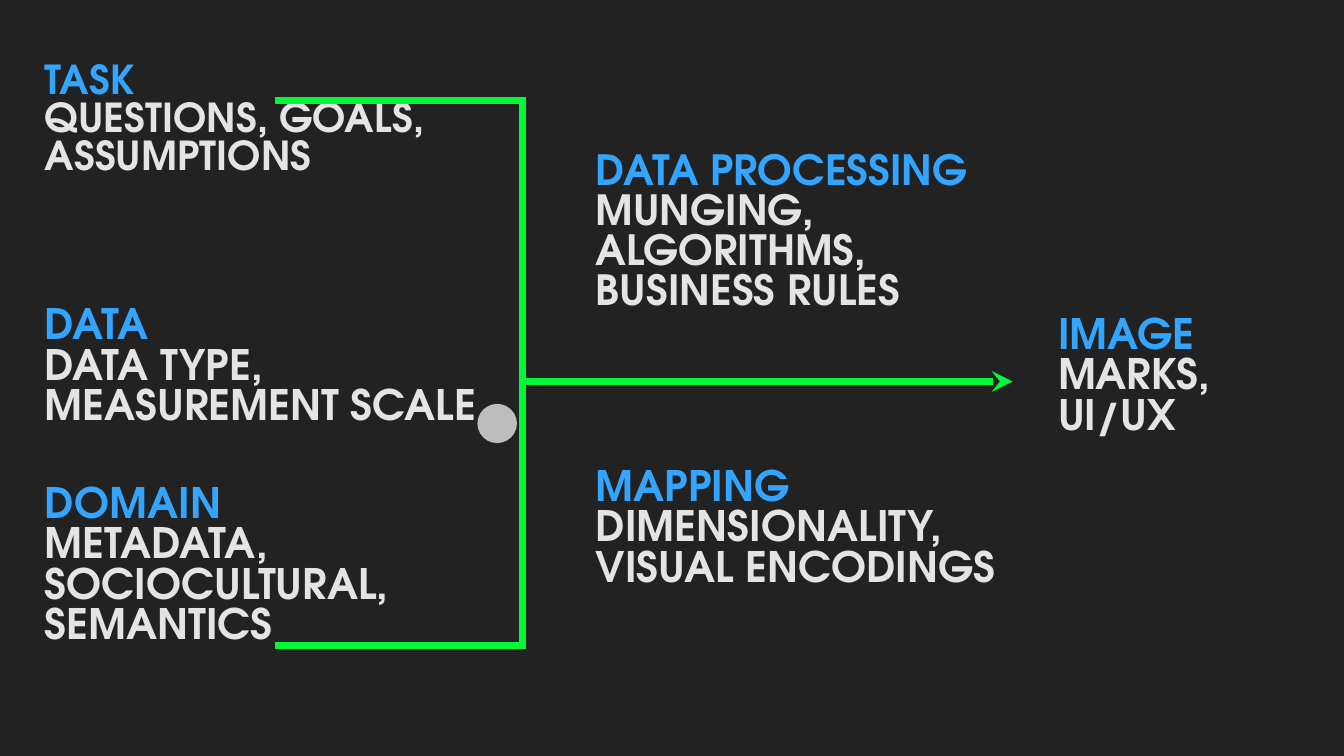
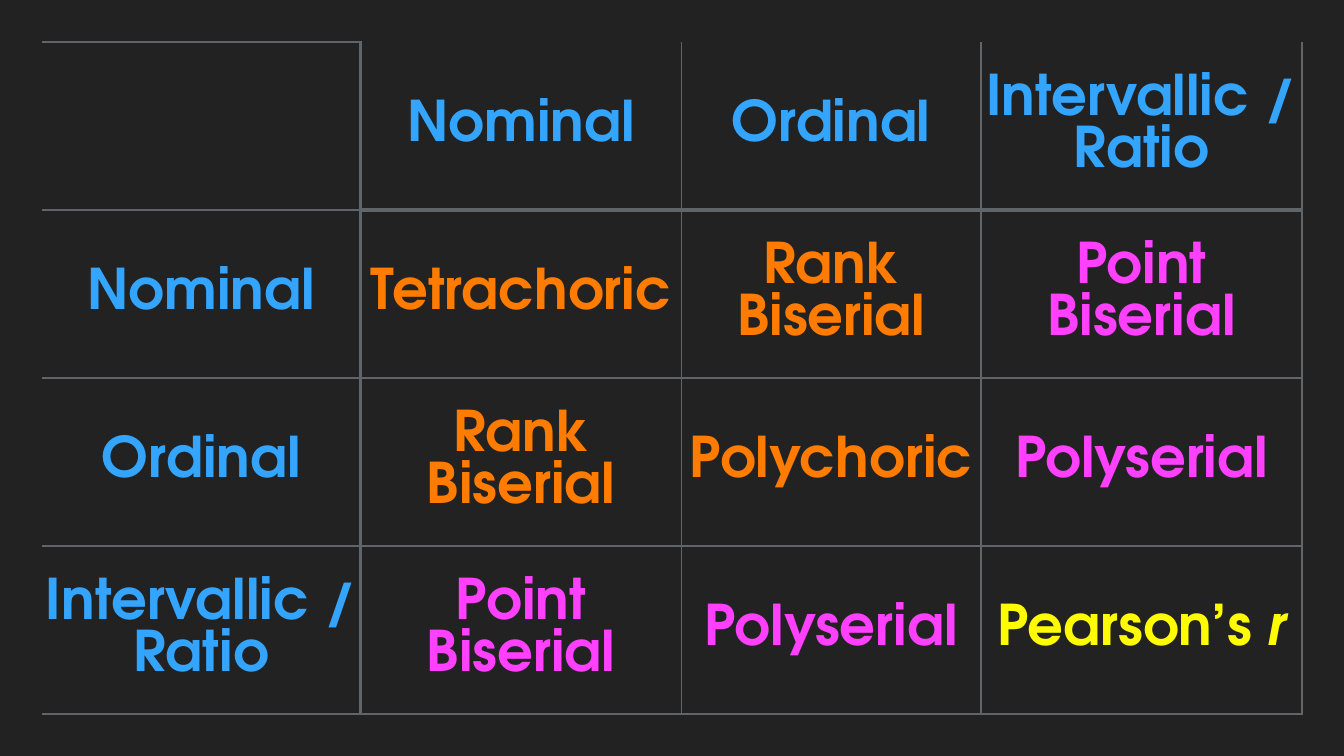
from lxml import etree
from pptx import Presentation
from pptx.dml.color import RGBColor
from pptx.enum.shapes import MSO_CONNECTOR, MSO_SHAPE
from pptx.enum.text import MSO_ANCHOR, MSO_AUTO_SIZE, PP_ALIGN
from pptx.oxml import parse_xml
from pptx.oxml.ns import nsdecls, qn
from pptx.util import Pt

STRAIGHT, OVAL = MSO_CONNECTOR.STRAIGHT, MSO_SHAPE.OVAL
TOP, MIDDLE = MSO_ANCHOR.TOP, MSO_ANCHOR.MIDDLE
LEFT, CENTER = PP_ALIGN.LEFT, PP_ALIGN.CENTER
NO_AUTOFIT = MSO_AUTO_SIZE.NONE

FONT = "TeX Gyre Adventor"
BACKGROUND, BLUE, LIGHT, GREEN = "222222", "34A5FF", "E4E4E4", "00F939"
ORANGE, PINK, YELLOW, GRID = "FF7C00", "FF40FF", "FFFB00", "5F6568"
INSET = Pt(4)


def paint(color_format, hex_color):
    color_format.rgb = RGBColor.from_string(hex_color)


def add_text(paragraph, text, size, color):
    run = paragraph.add_run()
    run.text = text
    run.font.name, run.font.size, run.font.bold = FONT, Pt(size), True
    paint(run.font.color, color)
    return run


prs = Presentation()
prs.slide_width, prs.slide_height = Pt(1920), Pt(1080)
master_fill = prs.slide_master.background.fill
master_fill.solid()
paint(master_fill.fore_color, BACKGROUND)
title_only, blank = prs.slide_layouts[5], prs.slide_layouts[6]

# Slide 1: from task, data and domain to image
process = prs.slides.add_slide(title_only)

bracket = process.shapes.add_group_shape()
SPINE = 746
lines = [
    (bracket.shapes, 393, 144, 744, 144),
    (bracket.shapes, 393, 922, 744, 922),
    (bracket.shapes, SPINE, 139, SPINE, 927),
    (process.shapes, SPINE, 545, 1446.5, 545),
]
for owner, x1, y1, x2, y2 in lines:
    line = owner.add_connector(STRAIGHT, Pt(x1), Pt(y1), Pt(x2), Pt(y2))
    line.line.width = Pt(10)
    paint(line.line.color, GREEN)
    properties = line.line._get_or_add_ln().getparent()
    etree.SubElement(properties, qn("a:effectLst"))
# The last line is the arrow to the image
etree.SubElement(line.line._get_or_add_ln(), qn("a:tailEnd"), type="stealth")

# Left, top, width, height, size, wrap, heading, details
stages = [
    (60, 87, 600, 239, 57, True, "TASK", ["QUESTIONS, GOALS,", "ASSUMPTIONS"]),
    (847, 174, 600, 320, 59.4, True, "DATA PROCESSING",
     ["MUNGING, ALGORITHMS, BUSINESS RULES"]),
    (60, 402.5, 625, 247, 60, False, "DATA", ["DATA TYPE,", "MEASUREMENT SCALE"]),
    (60, 649.5, 533.5, 321, 60, False, "DOMAIN",
     ["METADATA,", "SOCIOCULTURAL,", "SEMANTICS"]),
    (847, 633.5, 600, 247, 60, True, "MAPPING", ["DIMENSIONALITY, VISUAL ENCODINGS"]),
    (1507.5, 416, 242.5, 247, 60, False, "IMAGE", ["MARKS,", "UI/UX"]),
]
for left, top, width, height, size, wrap, heading, details in stages:
    box = [Pt(value) for value in (left, top, width, height)]
    if heading == "TASK":
        stage = process.shapes.title
        stage.left, stage.top, stage.width, stage.height = box
    else:
        stage = process.shapes.add_textbox(*box)
    frame = stage.text_frame
    frame_format = {
        "margin_left": INSET, "margin_right": INSET,
        "margin_top": INSET, "margin_bottom": INSET,
        "word_wrap": wrap, "auto_size": NO_AUTOFIT,
        "vertical_anchor": TOP if heading == "TASK" else MIDDLE,
    }
    for attribute, value in frame_format.items():
        setattr(frame, attribute, value)
    for index, text in enumerate([heading, *details]):
        paragraph = frame.add_paragraph() if index else frame.paragraphs[0]
        paragraph.alignment, paragraph.line_spacing = LEFT, 0.8
        add_text(paragraph, text, size, LIGHT if index else BLUE)

pointer = process.shapes.add_shape(OVAL, Pt(682), Pt(577), Pt(56.5), Pt(56))
pointer.shadow.inherit = False
pointer.line.fill.background()
pointer.fill.solid()
paint(pointer.fill.fore_color, "FFFFFF")
white = pointer.fill._xPr.find(qn("a:solidFill"))[0]
etree.SubElement(white, qn("a:alpha"), val="70000")

# Slide 2: correlation coefficient for each pair of measurement scales
correlations = prs.slides.add_slide(blank)
scales = ["Nominal", "Ordinal", "Intervallic / Ratio"]
rows = [
    ["", *scales],
    [scales[0], "Tetrachoric", "Rank Biserial", "Point Biserial"],
    [scales[1], "Rank Biserial", "Polychoric", "Polyserial"],
    [scales[2], "Point Biserial", "Polyserial", "Pearson’s r"],
]
column_widths = [455, 458.5, 428, 458.5]
table = correlations.shapes.add_table(4, 4, Pt(60), Pt(60), Pt(1800), Pt(960)).table
table.first_row = table.horz_banding = False
for column, width in zip(table.columns, column_widths):
    column.width = Pt(width)

cell_format = {
    "margin_left": INSET, "margin_right": INSET,
    "margin_top": INSET, "margin_bottom": INSET, "vertical_anchor": MIDDLE,
}
for r, row in enumerate(rows):
    table.rows[r].height = Pt(240)
    for c, text in enumerate(row):
        cell = table.cell(r, c)
        for attribute, value in cell_format.items():
            setattr(cell, attribute, value)

        # Thick rules set the headings apart; the outer left and top stay open
        borders = {
            "L": (0, 5, 2, 2)[c],
            "R": 2 if c else 5,
            "T": (0 if c else 2) if r == 0 else 5 if r == 1 and c else 2,
            "B": 5 if r == 0 and c else 2,
        }
        for side, width in borders.items():
            fill = (f'<a:solidFill><a:srgbClr val="{GRID}"/></a:solidFill>'
                    if width else "<a:noFill/>")
            cell._tc.get_or_add_tcPr().append(parse_xml(
                f'<a:ln{side} {nsdecls("a")} w="{Pt(width)}">{fill}</a:ln{side}>'))
        cell.fill.background()

        if not text:
            continue
        # Colour follows how many of the two scales are intervallic
        color = BLUE if r == 0 or c == 0 else (ORANGE, PINK, YELLOW)[(r == 3) + (c == 3)]
        paragraph = cell.text_frame.paragraphs[0]
        paragraph.alignment, paragraph.space_before = CENTER, Pt(34)
        if color == YELLOW:
            add_text(paragraph, text[:-1], 80, color)
            add_text(paragraph, text[-1], 80, color).font.italic = True
        else:
            add_text(paragraph, text, 80, color)

prs.save("out.pptx")
